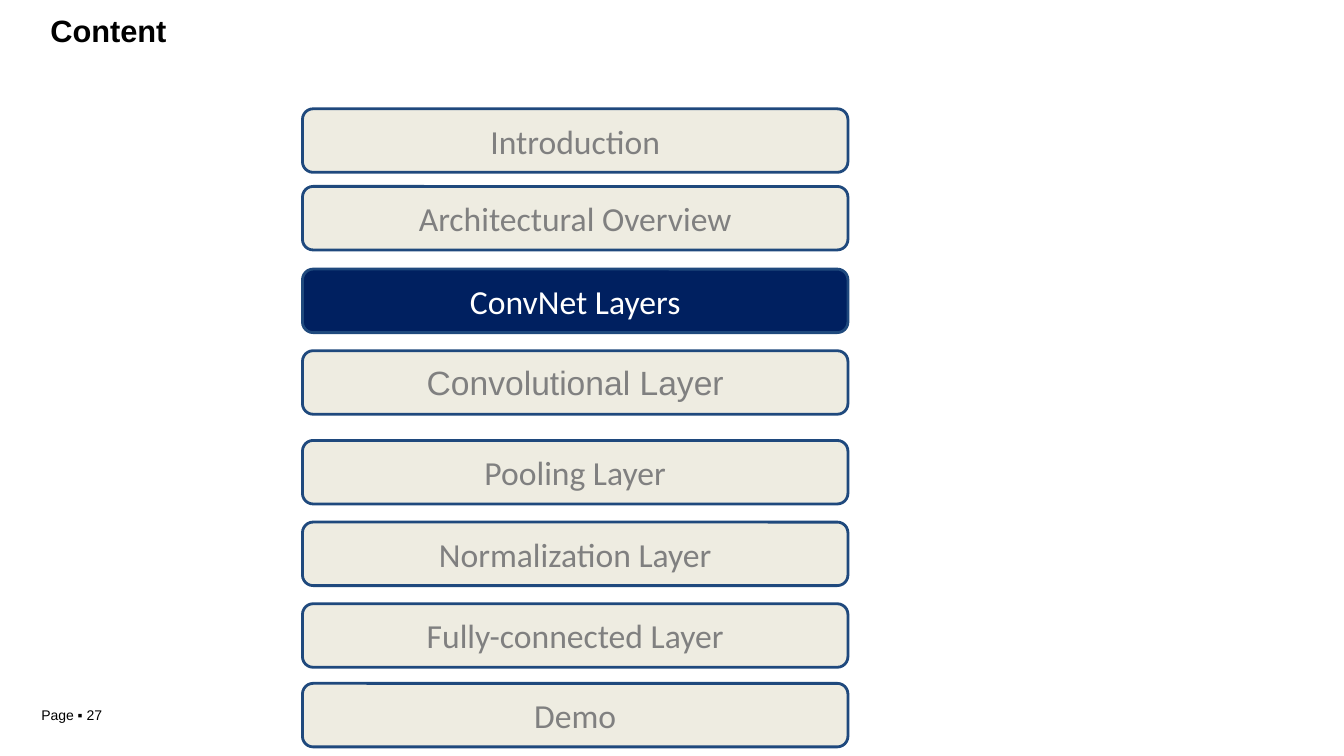
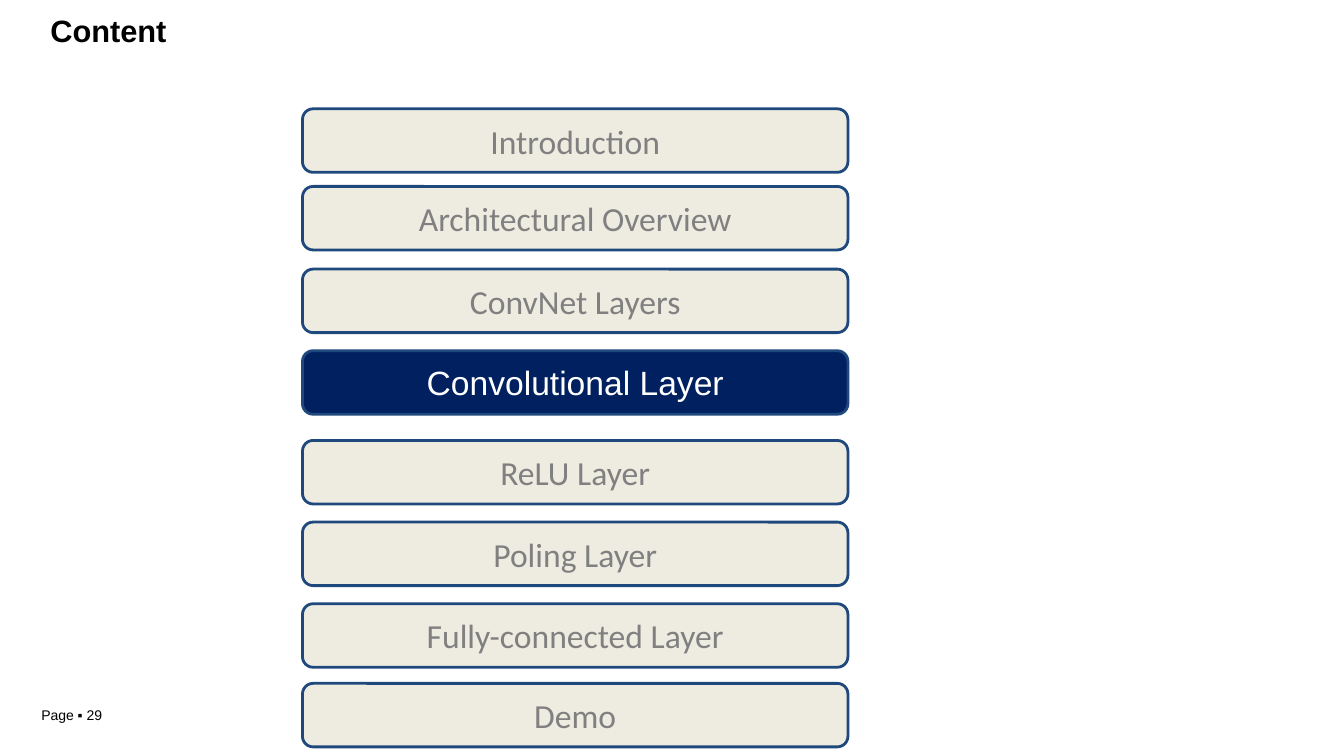
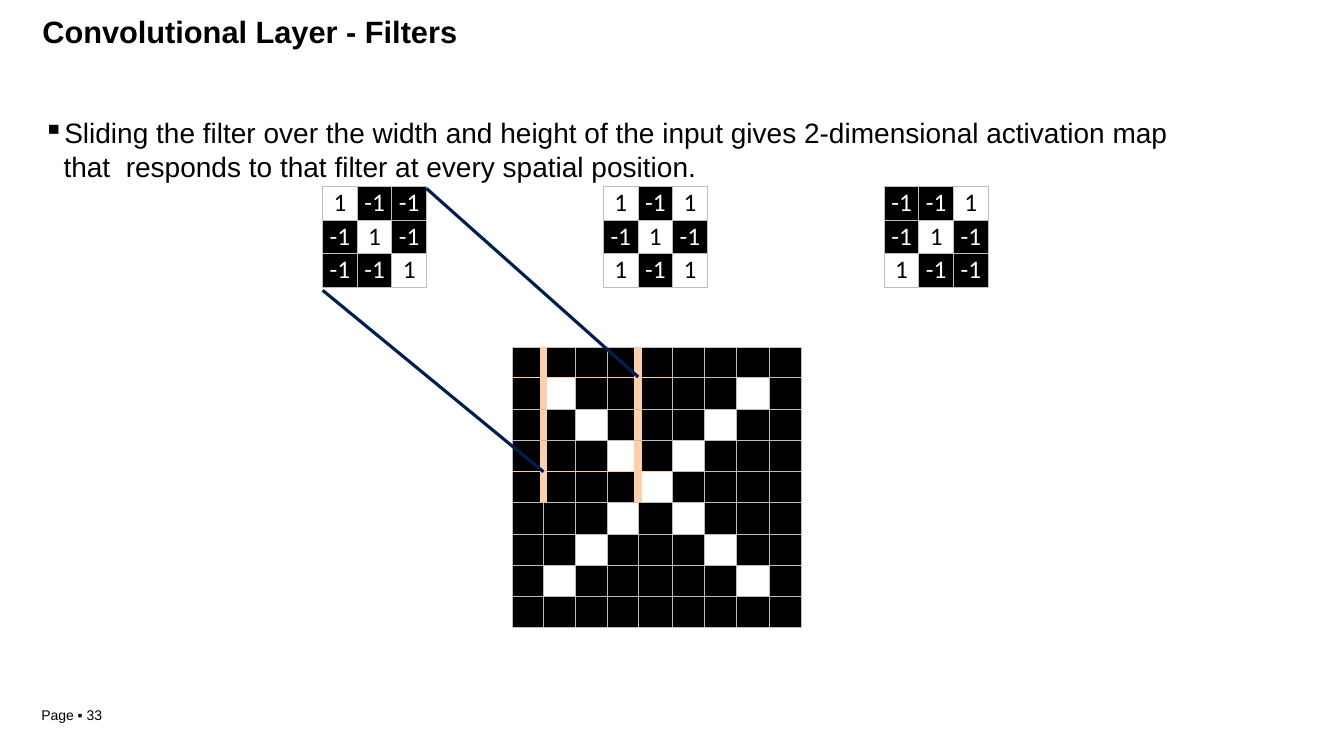
from dataclasses import dataclass
from lxml.etree import SubElement
from pptx import Presentation
from pptx.dml.color import RGBColor
from pptx.enum.shapes import MSO_CONNECTOR, MSO_SHAPE
from pptx.enum.text import MSO_ANCHOR, MSO_AUTO_SIZE, PP_ALIGN
from pptx.oxml import parse_xml
from pptx.oxml.ns import nsdecls, qn
from pptx.util import Inches, Pt


@dataclass(frozen=True)
class Theme:
    """Colours, fonts and type sizes of the deck."""
    black: str = "000000"
    white: str = "FFFFFF"
    grey: str = "808080"
    cream: str = "EEECE1"
    navy: str = "002060"
    edge: str = "1F497D"
    ray: str = "001F50"
    grid: str = "BEBEBE"
    peach: str = "FDCFAA"
    sans: str = "Arial"
    soft: str = "Calibri"
    head: int = 22
    bar: int = 24
    body: int = 20
    cell: int = 18
    foot: int = 10


LOOK = Theme()
TOPS = (0, 0.77, 1.59, 2.4, 3.29, 4.1, 4.91, 5.7)
COLS = (0.31, 0.32, 0.32, 0.3, 0.34, 0.32, 0.32, 0.32, 0.32)
ROWS = (0.29, 0.32) + (0.31,) * 7
FILTERS = (
    ((1, -1, -1), (-1, 1, -1), (-1, -1, 1)),
    ((1, -1, 1), (-1, 1, -1), (1, -1, 1)),
    ((-1, -1, 1), (-1, 1, -1), (1, -1, -1)),
)


def tint(code):
    """Turn a hex code into a colour."""
    return RGBColor.from_string(code)


def write(para, text, size, color=LOOK.black, face=LOOK.sans, bold=False):
    """Add one styled run to a paragraph."""
    run = para.add_run()
    run.text = text
    font = run.font
    font.name, font.size, font.bold = face, Pt(size), bold
    font.color.rgb = tint(color)


def frame(shape, wrap=False):
    """Strip the insets of a text shape and return its first paragraph."""
    text = shape.text_frame
    text.margin_left = text.margin_right = text.margin_bottom = 0
    text.margin_top = Inches(0.01)
    text.vertical_anchor = MSO_ANCHOR.TOP
    text.auto_size = MSO_AUTO_SIZE.NONE
    text.word_wrap = wrap
    para = text.paragraphs[0]
    para.alignment = PP_ALIGN.LEFT
    return para


def start(deck, title, box, page):
    """Add a slide with its title and page mark."""
    slide = deck.slides.add_slide(deck.slide_layouts[5])
    head = slide.shapes.title
    head.left, head.top, head.width, head.height = map(Inches, box)
    write(frame(head), title, LOOK.head, bold=True)
    foot = slide.shapes.add_textbox(*map(Inches, (0.41, 7, 0.67, 0.18)))
    write(frame(foot), f"Page ▪ {page}", LOOK.foot)
    return slide


def add_bar(slide, box, label, lit):
    """Draw one agenda bar, lit when it is the current topic."""
    bar = slide.shapes.add_shape(MSO_SHAPE.ROUNDED_RECTANGLE, *map(Inches, box))
    bar.shadow.inherit = False
    bar.fill.solid()
    bar.fill.fore_color.rgb = tint(LOOK.navy if lit else LOOK.cream)
    bar.line.color.rgb = tint(LOOK.edge)
    bar.line.width = Pt(2)
    bar.text_frame.vertical_anchor = MSO_ANCHOR.MIDDLE
    para = bar.text_frame.paragraphs[0]
    para.alignment = PP_ALIGN.CENTER
    face = LOOK.sans if label == "Convolutional Layer" else LOOK.soft
    write(para, label, LOOK.bar, LOOK.white if lit else LOOK.grey, face)


def agenda(deck, page, topics, now):
    """Build a contents slide with one topic lit."""
    slide = start(deck, "Content", (0.5, 0.11, 1.33, 0.38), page)
    left, top, width, height = 3, 1.08, 5.41, 0.63
    for label, drop in zip(topics, TOPS):
        add_bar(slide, (left, top + drop, width, height), label, label == now)


def paint(cell, dark, edges):
    """Fill a cell and draw its left, right, top and bottom edges."""
    cell.margin_left = cell.margin_right = cell.margin_bottom = 0
    cell.margin_top = Inches(0.01)
    cell.fill.solid()
    cell.fill.fore_color.rgb = tint(LOOK.black if dark else LOOK.white)
    props = cell._tc.get_or_add_tcPr()
    for spot, (side, (color, width)) in enumerate(zip("LRTB", edges)):
        props.insert(spot, parse_xml(
            f'<a:ln{side} {nsdecls("a")} w="{Pt(width)}"><a:solidFill>'
            f'<a:srgbClr val="{color}"/></a:solidFill></a:ln{side}>'))


def add_grid(slide, left, top, cols, rows):
    """Add a plain table with the given column and row sizes."""
    sizes = map(Inches, (left, top, sum(cols), sum(rows)))
    table = slide.shapes.add_table(len(rows), len(cols), *sizes).table
    table.first_row = table.horz_banding = False
    for col, width in zip(table.columns, cols):
        col.width = Inches(width)
    for row, height in zip(table.rows, rows):
        row.height = Inches(height)
    return table


def add_filter(slide, box, values):
    """Draw one filter as a table of weights."""
    left, top, width, height = box
    count = len(values)
    table = add_grid(slide, left, top, (width / count,) * count, (height / count,) * count)
    for r, row in enumerate(values):
        for c, value in enumerate(row):
            cell = table.cell(r, c)
            dark = value < 0
            paint(cell, dark, ((LOOK.grid, 0.75),) * 4)
            para = cell.text_frame.paragraphs[0]
            para.alignment = PP_ALIGN.CENTER
            write(para, str(value), LOOK.cell, LOOK.white if dark else LOOK.black, LOOK.soft)


def add_board(slide, left, top):
    """Draw the input image as a table, with the filter window marked."""
    table = add_grid(slide, left, top, COLS, ROWS)
    last = len(ROWS) - 1
    for r in range(len(ROWS)):
        for c in range(len(COLS)):
            cell = table.cell(r, c)
            near = r < 5 and c < 5
            upright = [(LOOK.peach, 6) if near and x in (1, 4) else (LOOK.grid, 0.75)
                       for x in (c, c + 1)]
            level = [(LOOK.peach if near and y in (1, 4) else LOOK.grid, 0.75)
                     for y in (r, r + 1)]
            white = 0 < r < last and c in (r, last - r)
            paint(cell, not white, upright + level)
            end = SubElement(cell.text_frame.paragraphs[0]._p, qn("a:endParaRPr"))
            end.set("sz", str(LOOK.foot * 100))


def add_ray(slide, *ends):
    """Draw a line from a filter corner to the window."""
    ray = slide.shapes.add_connector(MSO_CONNECTOR.STRAIGHT, *map(Inches, ends))
    ray.line.color.rgb = tint(LOOK.ray)
    ray.line.width = Pt(2.25)
    SubElement(ray._element.spPr, qn("a:effectLst"))


def add_point(slide, box, text):
    """Write one bulleted paragraph."""
    para = frame(slide.shapes.add_textbox(*map(Inches, box)), True)
    props = para._p.get_or_add_pPr()
    props.set("marL", str(Inches(0.21)))
    props.set("indent", str(-Inches(0.2)))
    SubElement(props, qn("a:buChar")).set("char", "▪")
    write(para, text, LOOK.body)


def filters(deck, page):
    """Build the slide of filters over an input image."""
    slide = start(deck, "Convolutional Layer - Filters", (0.42, 0.12, 4.16, 0.39), page)
    add_point(slide, (0.42, 1.14, 11.65, 0.7),
              "Sliding the filter over the width and height of the input gives "
              "2-dimensional activation map that  responds to that filter at "
              "every spatial position.")
    left, top, width, height, pitch = 3.2, 1.85, 1.03, 1, 2.785
    for i, values in enumerate(FILTERS):
        add_filter(slide, (left + i * pitch, top, width, height), values)
    x, y = 5.08, 3.45
    add_board(slide, x, y)
    add_ray(slide, left + width, top + 0.02, x + sum(COLS[:4]), y + sum(ROWS[:1]))
    add_ray(slide, left, top + height + 0.03, x + sum(COLS[:1]), y + sum(ROWS[:4]))


def main():
    """Build and save the deck."""
    deck = Presentation()
    deck.slide_width, deck.slide_height = Inches(13.33), Inches(7.5)
    first = ("Introduction", "Architectural Overview", "ConvNet Layers", "Convolutional Layer")
    final = ("Fully-connected Layer", "Demo")
    agenda(deck, 27, first + ("Pooling Layer", "Normalization Layer") + final, "ConvNet Layers")
    agenda(deck, 29, first + ("ReLU Layer", "Poling Layer") + final, "Convolutional Layer")
    filters(deck, 33)
    deck.save("out.pptx")


if __name__ == "__main__":
    main()
